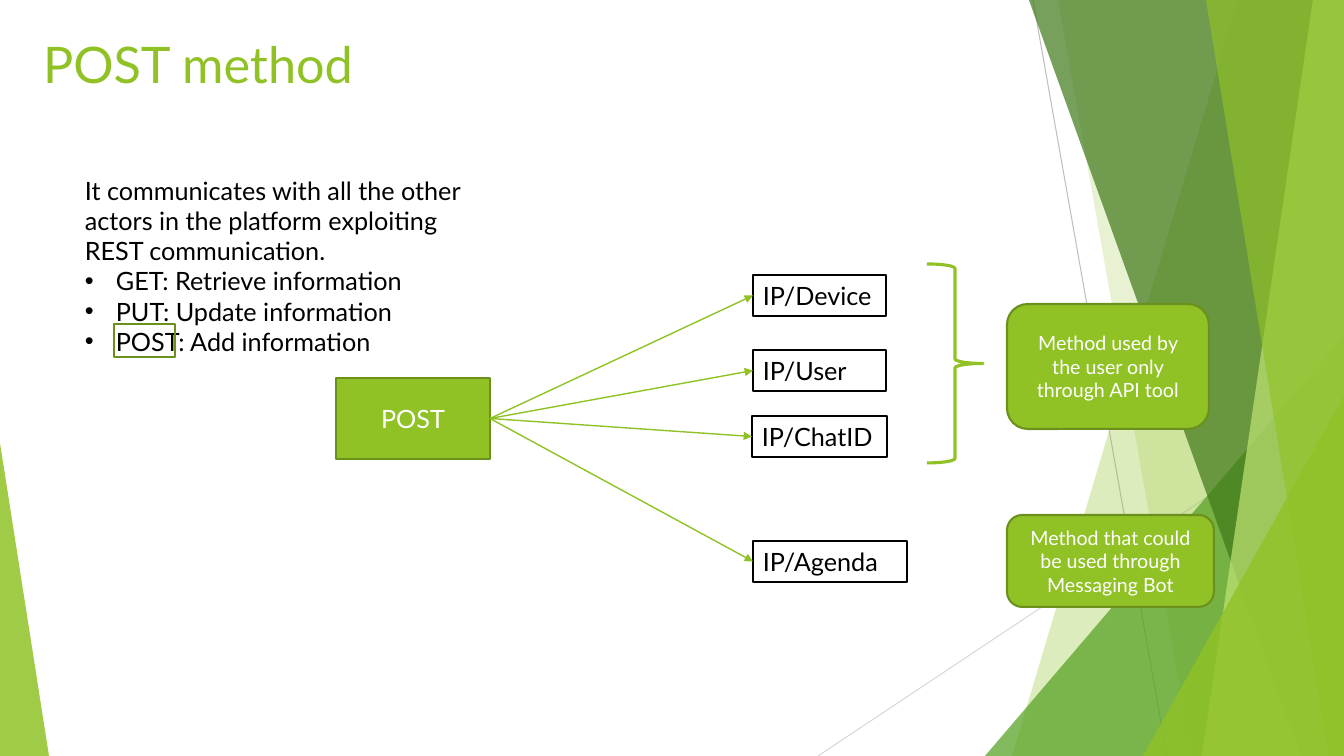
from lxml import etree
from pptx import Presentation, util as u
from pptx.dml.color import RGBColor
from pptx.enum import shapes, text
from pptx.oxml.ns import qn

PX = 914400 / 100.8  # EMU in one px
WIDTH, HEIGHT = 1344, 756
FONT = "Lato"

GREEN = RGBColor(0x90, 0xC2, 0x26)
OLIVE = RGBColor(0x6B, 0x90, 0x1C)
LEAF = RGBColor(0x54, 0xA0, 0x21)
FOREST = RGBColor(0x3F, 0x78, 0x19)
LIME = RGBColor(0xC0, 0xE4, 0x74)
GREY = RGBColor(0xBF, 0xBF, 0xBF)
PALE_GREY = RGBColor(0xD9, 0xD9, 0xD9)
BLACK = RGBColor(0, 0, 0)
WHITE = RGBColor(0xFF, 0xFF, 0xFF)

# Content
TITLE = "POST method"
INTRO = "It communicates with all the other actors in the platform exploiting REST communication."
METHODS = ["GET: Retrieve information", "PUT: Update information", "POST: Add information"]
SOURCE = ("POST", (336, 378, 154, 81))
ENDPOINTS = [
    ("IP/Device", (753, 275, 133, 41)),
    ("IP/User", (753, 350, 133, 41)),
    ("IP/ChatID", (752, 416, 135, 41)),
    ("IP/Agenda", (753, 541, 154, 41)),
]
NOTES = [
    ("Method used by the user only through API tool", (1007, 304, 202, 125)),
    ("Method that could be used through Messaging Bot", (1007, 515, 207, 92)),
]

# Backdrop: panels run to the right edge from (top x, bottom x);
# triangles are (left, top, width, apex position)
RAYS = [((1033, 0, 1167, HEIGHT), GREY), ((WIDTH, 406, 818, HEIGHT), PALE_GREY)]
FACETS = [
    ((1238, 1012), GREEN, 30),
    ((1058, 1192), GREEN, 20),
    ((985, 336, 359, 1), LEAF, 72),
    ((1029, 1301), FOREST, 70),
    ((1313, 1202), LIME, 70),
    ((1206, 1329), GREEN, 65),
    ((1143, 396, 201, 1), GREEN, 80),
    ((0, 443, 49, 0), GREEN, 85),
]


def emu(*lengths):
    return [u.Emu(round(length * PX)) for length in lengths]


def paint(shape, fill=None, line=None, weight=1.5):
    shape.shadow.inherit = False
    if fill is None:
        shape.fill.background()
    else:
        shape.fill.solid()
        shape.fill.fore_color.rgb = fill
    if line is None:
        shape.line.fill.background()
    else:
        shape.line.color.rgb = line
        shape.line.width = u.Pt(weight)


def write(frame, lines, size, color, align=text.PP_ALIGN.LEFT,
          anchor=text.MSO_ANCHOR.TOP, wrap=True):
    frame.text = "\n".join(lines)
    frame.word_wrap = wrap
    frame.vertical_anchor = anchor
    for paragraph in frame.paragraphs:
        paragraph.alignment = align
        for run in paragraph.runs:
            run.font.name = FONT
            run.font.size = u.Pt(size)
            run.font.color.rgb = color


def add_box(slide, box, kind=shapes.MSO_SHAPE.RECTANGLE, **style):
    shape = slide.shapes.add_shape(kind, *emu(*box))
    paint(shape, **style)
    return shape


def add_line(slide, ends, color, weight):
    line = slide.shapes.add_connector(shapes.MSO_CONNECTOR.STRAIGHT, *emu(*ends))
    line.line.color.rgb = color
    line.line.width = u.Pt(weight)
    etree.SubElement(line._element.spPr, qn("a:effectLst"))
    return line


def add_facet(slide, outline, color, opacity):
    if len(outline) == 2:
        top_x, bottom_x = outline
        builder = slide.shapes.build_freeform(top_x, 0, scale=PX)
        builder.add_line_segments([(WIDTH, 0), (WIDTH, HEIGHT), (bottom_x, HEIGHT)])
        facet = builder.convert_to_shape()
        paint(facet, fill=color)
    else:
        left, top, width, apex = outline
        facet = add_box(slide, (left, top, width, HEIGHT - top),
                        shapes.MSO_SHAPE.ISOSCELES_TRIANGLE, fill=color)
        facet.adjustments[0] = apex
    tint = facet._element.spPr.find(qn("a:solidFill"))[0]
    etree.SubElement(tint, qn("a:alpha"), val=str(opacity * 1000))


def add_bullet(paragraph):
    props = paragraph._p.get_or_add_pPr()
    indent = emu(31)[0]
    props.set("marL", str(indent))
    props.set("indent", str(-indent))
    etree.SubElement(props, qn("a:buFont"), typeface="Arial")
    etree.SubElement(props, qn("a:buChar"), char="•")


def main():
    deck = Presentation()
    deck.slide_width, deck.slide_height = emu(WIDTH, HEIGHT)
    slide = deck.slides.add_slide(deck.slide_layouts[5])

    # Backdrop
    for ends, color in RAYS:
        add_line(slide, ends, color, 0.75)
    for facet in FACETS:
        add_facet(slide, *facet)

    # Title
    title = slide.shapes.title
    title.left, title.top, title.width, title.height = emu(33, 28, 948, 145)
    write(title.text_frame, [TITLE], 36, GREEN)

    # Explanation with the POST highlight
    explanation = slide.shapes.add_textbox(*emu(75, 170, 424, 194))
    write(explanation.text_frame, [INTRO, *METHODS], 18, BLACK)
    for paragraph in explanation.text_frame.paragraphs[1:]:
        add_bullet(paragraph)
    add_box(slide, (114, 324, 61, 33), line=OLIVE)

    # POST box with an arrow to each endpoint
    label, box = SOURCE
    post = add_box(slide, box, fill=GREEN, line=OLIVE)
    write(post.text_frame, [label], 18, WHITE, text.PP_ALIGN.CENTER, text.MSO_ANCHOR.MIDDLE)
    for label, box in ENDPOINTS:
        endpoint = add_box(slide, box, line=BLACK)
        write(endpoint.text_frame, [label], 18, BLACK, wrap=False)
        arrow = add_line(slide, (0, 0, 0, 0), GREEN, 1)
        arrow.begin_connect(post, 3)
        arrow.end_connect(endpoint, 1)
        etree.SubElement(arrow.line._get_or_add_ln(), qn("a:tailEnd"), type="triangle")

    # Brace and notes
    brace = add_box(slide, (927, 264, 56, 199), shapes.MSO_SHAPE.RIGHT_BRACE,
                    line=GREEN, weight=2.25)
    brace.adjustments[0], brace.adjustments[1] = 0.08, 0.5
    for label, box in NOTES:
        note = add_box(slide, box, shapes.MSO_SHAPE.ROUNDED_RECTANGLE, fill=GREEN, line=OLIVE)
        write(note.text_frame, [label], 14, WHITE, text.PP_ALIGN.CENTER, text.MSO_ANCHOR.MIDDLE)

    deck.save("out.pptx")


if __name__ == "__main__":
    main()
